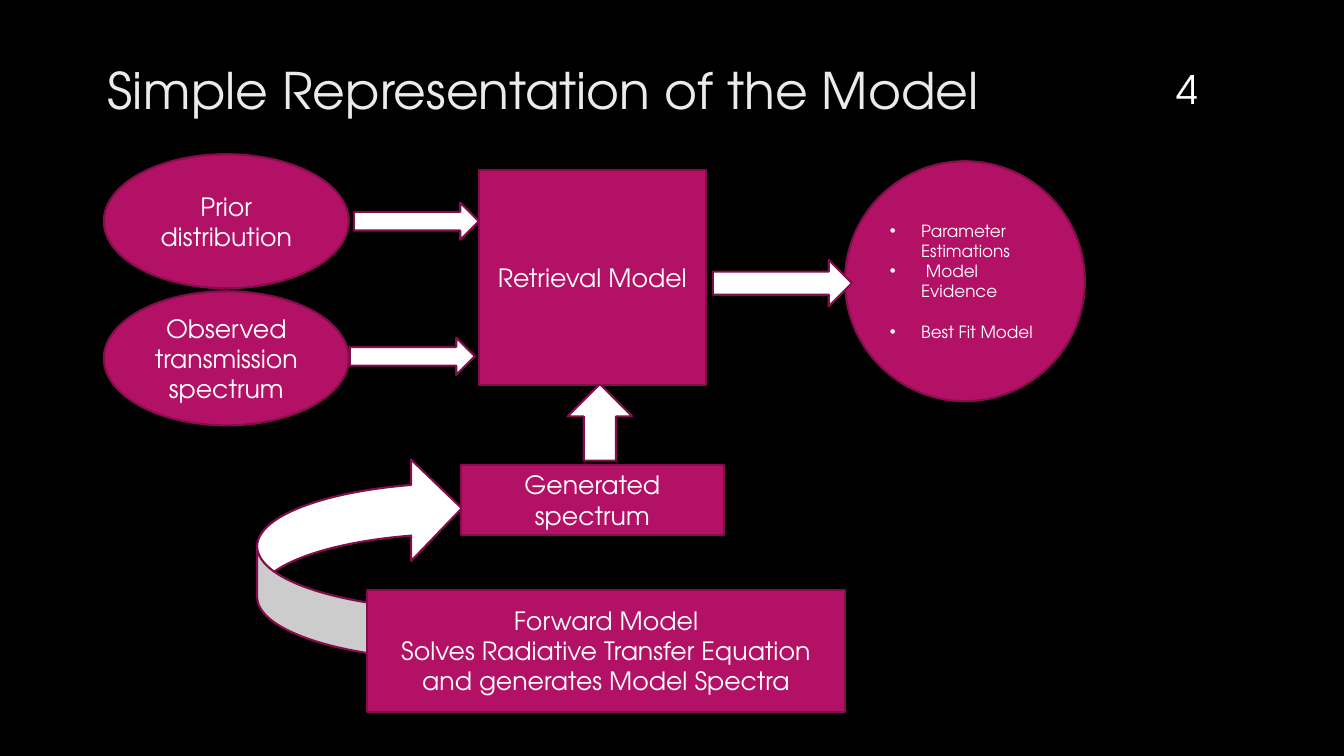
import pptx
import pptx.util
import pptx.dml.color
import pptx.enum.shapes
import pptx.enum.text
from lxml import etree

Inches = pptx.util.Inches
Pt = pptx.util.Pt
RGBColor = pptx.dml.color.RGBColor
MSO_SHAPE = pptx.enum.shapes.MSO_SHAPE
MSO_ANCHOR = pptx.enum.text.MSO_ANCHOR
PP_ALIGN = pptx.enum.text.PP_ALIGN

# Content
TITLE = "Simple Representation of the Model"
SLIDE_NUMBER = "4"
RESULTS = ["Parameter Estimations", " Model Evidence", "Best Fit Model"]
RESULTS_BOX = (8.38, 1.6, 2.38, 2.38)

# Nodes: preset, (left, top, width, height), text; \v is a line break
NODES = [
    (MSO_SHAPE.OVAL, (1.03, 2.89, 2.43, 1.33), "Observed transmission spectrum"),
    (MSO_SHAPE.RECTANGLE, (4.75, 1.69, 2.25, 2.13), "Retrieval Model"),
    (MSO_SHAPE.RECTANGLE, (3.64, 5.85, 4.74, 1.21),
     "Forward Model\vSolves Radiative Transfer Equation and generates Model Spectra"),
    (MSO_SHAPE.RECTANGLE, (4.57, 4.61, 2.61, 0.7), "Generated spectrum"),
    (MSO_SHAPE.OVAL, (1.03, 1.53, 2.43, 1.33), "Prior distribution"),
]

# Block arrows: (left, top, width, height), rotation
FORWARD_ARROW = (2.55, 4.54, 2.03, 2.01)
ARROWS = [
    ((3.51, 2.01, 1.24, 0.37), 0),
    ((3.47, 3.35, 1.24, 0.37), 0),
    ((7.07, 2.58, 1.38, 0.46), 0),
    ((5.57, 3.87, 0.76, 0.64), 270),
]

FONT = "TeX Gyre Adventor"
BLACK = RGBColor(0x00, 0x00, 0x00)
WHITE = RGBColor(0xFF, 0xFF, 0xFF)
TITLE_GREY = RGBColor(0xEB, 0xEB, 0xEB)
MAGENTA = RGBColor(0xB3, 0x11, 0x66)
DARK_MAGENTA = RGBColor(0x84, 0x0D, 0x4B)


def format_paragraph(paragraph, size, color=WHITE, alignment=PP_ALIGN.CENTER):
    paragraph.alignment = alignment
    paragraph.font.name = FONT
    paragraph.font.size = Pt(size)
    paragraph.font.color.rgb = color


def add_block(slide, preset, box, fill, rotation=0):
    shape = slide.shapes.add_shape(preset, *map(Inches, box))
    shape.rotation = rotation
    shape.shadow.inherit = False
    shape.fill.solid()
    shape.fill.fore_color.rgb = fill
    shape.line.color.rgb = DARK_MAGENTA
    shape.line.width = Pt(1.5)
    frame = shape.text_frame
    frame.word_wrap = True
    frame.vertical_anchor = MSO_ANCHOR.MIDDLE
    return shape


def add_bullet(paragraph, indent):
    properties = paragraph._p.get_or_add_pPr()
    properties.set("marL", str(indent))
    properties.set("indent", str(-indent))
    namespace = pptx.oxml.ns.qn("a:buFont")
    etree.SubElement(properties, namespace).set("typeface", "Arial")
    etree.SubElement(properties, pptx.oxml.ns.qn("a:buChar")).set("char", "•")


def main():
    presentation = pptx.Presentation()
    presentation.slide_width = Inches(13.33)
    presentation.slide_height = Inches(7.5)
    slide = presentation.slides.add_slide(presentation.slide_layouts[5])
    slide.background.fill.solid()
    slide.background.fill.fore_color.rgb = BLACK

    # Curved arrow, behind the boxes it joins
    add_block(slide, MSO_SHAPE.CURVED_LEFT_ARROW, FORWARD_ARROW, WHITE, 180)

    # Title
    title = slide.shapes.title
    title.left, title.top, title.width, title.height = map(
        Inches, (0.97, 0.5, 9.58, 0.77))
    title.text_frame.text = TITLE
    title.text_frame.auto_size = pptx.enum.text.MSO_AUTO_SIZE.NONE
    title.text_frame.vertical_anchor = MSO_ANCHOR.MIDDLE
    format_paragraph(title.text_frame.paragraphs[0], 36, TITLE_GREY, PP_ALIGN.LEFT)

    # Slide number
    number = slide.shapes.add_textbox(*map(Inches, (11.32, 0.32, 0.92, 0.84)))
    number.text_frame.word_wrap = True
    number.text_frame.vertical_anchor = MSO_ANCHOR.BOTTOM
    number.text_frame.text = SLIDE_NUMBER
    format_paragraph(number.text_frame.paragraphs[0], 28)

    # Model steps
    for preset, box, text in NODES:
        node = add_block(slide, preset, box, MAGENTA)
        node.text_frame.text = text
        format_paragraph(node.text_frame.paragraphs[0], 18)

    # Results, with a wider gap before the last one
    results = add_block(slide, MSO_SHAPE.OVAL, RESULTS_BOX, MAGENTA)
    results.text_frame.text = "\n".join(RESULTS)
    for paragraph in results.text_frame.paragraphs:
        add_bullet(paragraph, Inches(0.31))
        format_paragraph(paragraph, 12, alignment=PP_ALIGN.LEFT)
    results.text_frame.paragraphs[-1].space_before = Pt(14.5)

    # Straight arrows
    for box, rotation in ARROWS:
        add_block(slide, MSO_SHAPE.RIGHT_ARROW, box, WHITE, rotation)

    presentation.save("out.pptx")


if __name__ == "__main__":
    main()
